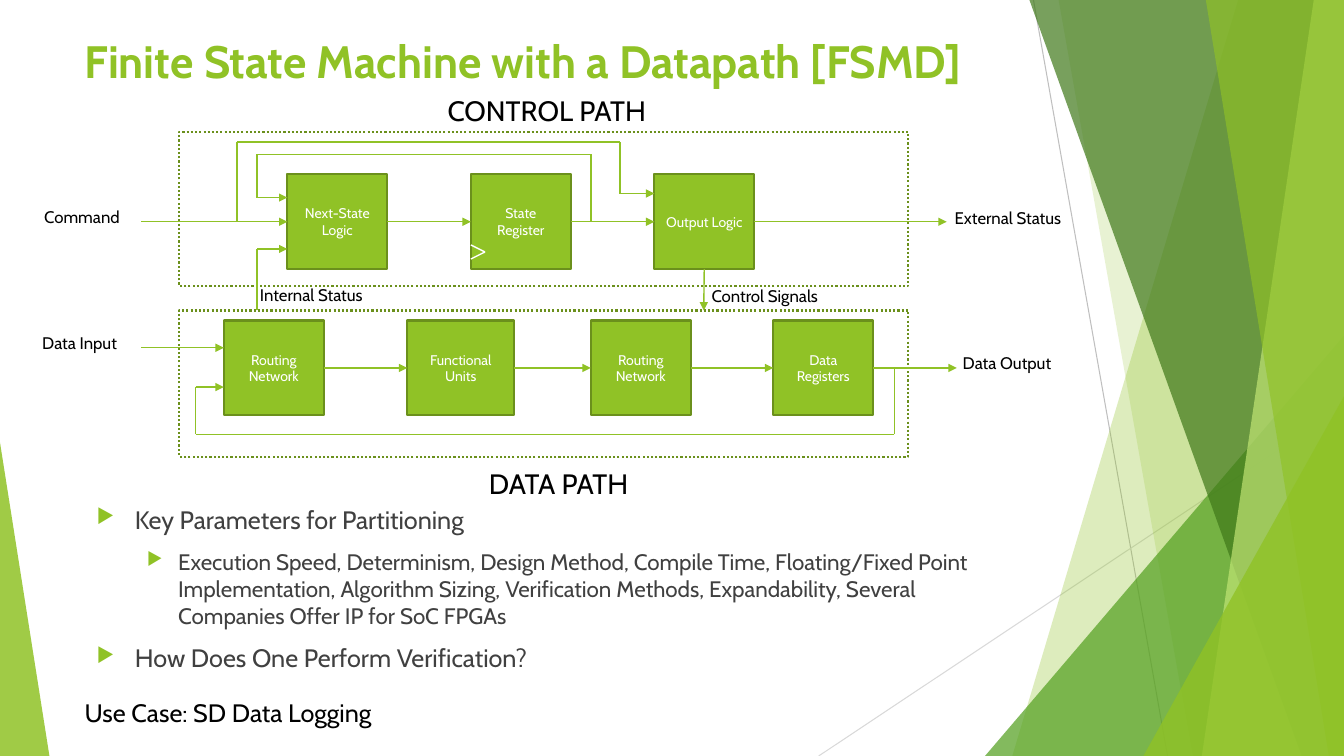
from dataclasses import dataclass
from itertools import pairwise

from pptx import Presentation
from pptx.dml.color import RGBColor
from pptx.enum.dml import MSO_LINE
from pptx.enum.shapes import MSO_CONNECTOR, MSO_SHAPE
from pptx.enum.text import MSO_ANCHOR as Anchor, PP_ALIGN as Align
from pptx.oxml.ns import qn
from pptx.oxml.xmlchemy import OxmlElement
from pptx.util import Inches, Pt

COLORS = {
    "lime": "90C226", "olive": "6B901C", "green": "54A021", "forest": "3F7819",
    "pale": "C0E474", "silver": "BFBFBF", "mist": "D9D9D9",
    "white": "FFFFFF", "black": "000000", "ink": "404040",
}
FONT = "Cabin"
TOP, LEFT, BOTTOM, RIGHT = range(4)
Point = tuple[float, float]


@dataclass
class Facet:
    points: list[Point]
    color: str
    opacity: int


@dataclass
class Wedge:
    left: float
    top: float
    width: float
    apex: float
    color: str
    opacity: int


@dataclass
class Block:
    text: str
    left: float
    top: float
    width: float = 0.99
    height: float = 0.94


@dataclass
class Wire:
    points: list[Point]
    arrow: bool = True
    source: tuple[str, int] | None = None
    target: tuple[str, int] | None = None
    color: str = "lime"
    weight: float = 1


@dataclass
class Label:
    text: str
    left: float
    top: float
    width: float
    height: float = 0.3
    size: float = 12
    color: str = "black"
    bold: bool = False
    anchor: Anchor = Anchor.TOP


@dataclass
class Bullet:
    text: str
    level: int
    size: int
    margin: float
    hanging: float


RAYS = [
    Wire([(10.25, 0), (11.58, 7.5)], arrow=False, color="silver", weight=0.75),
    Wire([(13.33, 4.03), (8.12, 7.5)], arrow=False, color="mist", weight=0.75),
]


def edge_facet(top_x: float, bottom_x: float, color: str, opacity: int) -> Facet:
    """Describe a band between a slanted side and the right slide edge."""
    return Facet([(top_x, 0), (13.33, 0), (13.33, 7.5), (bottom_x, 7.5)], color, opacity)


DECOR = [
    edge_facet(12.28, 10.04, "lime", 30),
    edge_facet(10.5, 11.83, "lime", 20),
    Wedge(9.77, 3.33, 3.56, 1, "green", 72),
    edge_facet(10.21, 12.91, "forest", 70),
    edge_facet(13.03, 11.92, "pale", 70),
    edge_facet(11.96, 13.18, "lime", 65),
    Wedge(11.34, 3.93, 1.99, 1, "lime", 80),
    Wedge(0, 4.39, 0.49, 0, "lime", 85),
]
REGIONS = [Block("", 1.78, 1.31, 7.23, 1.53), Block("", 1.78, 3.08, 7.23, 1.45)]
BLOCKS = {
    "next": Block("Next-State Logic", 2.85, 1.73),
    "state": Block("State Register", 4.67, 1.73),
    "output": Block("Output Logic", 6.49, 1.73),
    "router_in": Block("Routing Network", 2.22, 3.18),
    "units": Block("Functional Units", 4.04, 3.18, 1.06),
    "router_out": Block("Routing Network", 5.86, 3.18),
    "registers": Block("Data Registers", 7.67, 3.18),
}
CHAINS = [("next", "state", "output"), ("router_in", "units", "router_out", "registers")]
WIRES = [
    Wire([(1.4, 2.2), (2.85, 2.2)], target=("next", LEFT)),
    Wire([(7.48, 2.2), (9.39, 2.2)], source=("output", RIGHT)),
    Wire([(6.98, 2.67), (6.98, 3.08)], source=("output", BOTTOM)),
    Wire([(2.35, 2.2), (2.35, 1.41), (6.15, 1.41), (6.15, 1.92), (6.49, 1.92)]),
    Wire([(5.86, 2.2), (5.86, 1.53), (2.55, 1.53), (2.55, 1.96), (2.85, 1.96)]),
    Wire([(2.55, 3.08), (2.55, 2.47), (2.85, 2.47)]),
    Wire([(1.4, 3.45), (2.22, 3.45)]),
    Wire([(8.66, 3.65), (9.49, 3.65)], source=("registers", RIGHT)),
    Wire([(8.87, 3.65), (8.87, 4.31), (1.94, 4.31), (1.94, 3.84), (2.22, 3.84)]),
    Wire([(4.67, 2.43), (4.81, 2.5), (4.67, 2.57)], arrow=False, color="white"),
]
LABELS = [
    Label("Finite State Machine with a Datapath [FSMD]", 0.74, 0.25, 10.06, 0.69,
          32.4, "lime", True, Anchor.MIDDLE),
    Label("CONTROL PATH", 4.34, 0.88, 2.79, 0.53, 20),
    Label("DATA PATH", 4.75, 4.58, 2.14, 0.53, 20),
    Label("Command", 0.34, 2, 1.39),
    Label("Data Input", 0.32, 3.25, 1.78),
    Label("External Status", 9.37, 2.01, 1.78),
    Label("Data Output", 9.45, 3.45, 1.78),
    Label("Control Signals", 6.96, 2.79, 1.76),
    Label("Internal Status", 2.48, 2.78, 1.61),
    Label("Use Case: SD Data Logging", 0.74, 6.87, 6.89, 0.4, 18),
]
BULLETS = [
    Bullet("Key Parameters for Partitioning", 0, 18, 0.38, 0.38),
    Bullet("Execution Speed, Determinism, Design Method, Compile Time, Floating/Fixed Point "
           "Implementation, Algorithm Sizing, Verification Methods, Expandability, Several "
           "Companies Offer IP for SoC FPGAs", 1, 16, 0.81, 0.31),
    Bullet("How Does One Perform Verification?", 0, 18, 0.38, 0.38),
]


def rgb(name: str) -> RGBColor:
    """Look up a palette colour."""
    return RGBColor.from_string(COLORS[name])


def add_child(parent, tag: str, **attributes: str):
    """Append an XML element with its attributes."""
    child = OxmlElement(tag)
    for key, value in attributes.items():
        child.set(key, value)
    parent.append(child)
    return child


def write(paragraph, text: str, size: float, color: str, bold: bool = False) -> None:
    """Add one styled run."""
    run = paragraph.add_run()
    run.text = text
    run.font.name, run.font.size, run.font.bold = FONT, Pt(size), bold
    run.font.color.rgb = rgb(color)


def draw_decor(shapes, piece: Facet | Wedge) -> None:
    """Draw one translucent background piece."""
    if isinstance(piece, Wedge):
        pane = shapes.add_shape(MSO_SHAPE.ISOSCELES_TRIANGLE, Inches(piece.left), Inches(piece.top),
                                Inches(piece.width), Inches(7.5 - piece.top))
        pane.adjustments[0] = piece.apex
    else:
        corners = [(Inches(x), Inches(y)) for x, y in piece.points]
        outline = shapes.build_freeform(*corners[0])
        outline.add_line_segments(corners[1:])
        pane = outline.convert_to_shape()
    pane.shadow.inherit = False
    pane.line.fill.background()
    pane.fill.solid()
    pane.fill.fore_color.rgb = rgb(piece.color)
    tint = pane._element.spPr.find(qn("a:solidFill"))[0]
    add_child(tint, "a:alpha", val=str(piece.opacity * 1000))


def draw_block(shapes, block: Block):
    """Draw a filled block, or a dotted region when it has no text."""
    box = shapes.add_shape(MSO_SHAPE.RECTANGLE, Inches(block.left), Inches(block.top),
                           Inches(block.width), Inches(block.height))
    box.shadow.inherit = False
    box.line.color.rgb, box.line.width = rgb("olive"), Pt(1.5)
    if not block.text:
        box.fill.background()
        box.line.dash_style = MSO_LINE.ROUND_DOT
        return box
    box.fill.solid()
    box.fill.fore_color.rgb = rgb("lime")
    frame = box.text_frame
    frame.word_wrap, frame.vertical_anchor = True, Anchor.MIDDLE
    frame.paragraphs[0].alignment = Align.CENTER
    write(frame.paragraphs[0], block.text, 10, "white")
    return box


def draw_wire(shapes, wire: Wire, boxes: dict) -> None:
    """Draw a wire leg by leg, joined to its blocks."""
    legs = []
    for (x1, y1), (x2, y2) in pairwise(wire.points):
        leg = shapes.add_connector(MSO_CONNECTOR.STRAIGHT, Inches(x1), Inches(y1), Inches(x2), Inches(y2))
        leg.line.color.rgb, leg.line.width = rgb(wire.color), Pt(wire.weight)
        add_child(leg._element.spPr, "a:effectLst")
        legs.append(leg)
    if wire.arrow:
        add_child(legs[-1]._element.spPr.find(qn("a:ln")), "a:tailEnd", type="triangle")
    if wire.source:
        legs[0].begin_connect(boxes[wire.source[0]], wire.source[1])
    if wire.target:
        legs[-1].end_connect(boxes[wire.target[0]], wire.target[1])


def link(start: str, end: str) -> Wire:
    """Describe the arrow between two neighbouring blocks."""
    a, b = BLOCKS[start], BLOCKS[end]
    y = a.top + a.height / 2
    return Wire([(a.left + a.width, y), (b.left, y)], source=(start, RIGHT), target=(end, LEFT))


def draw_label(shapes, label: Label) -> None:
    """Draw one line of free text."""
    frame = shapes.add_textbox(Inches(label.left), Inches(label.top),
                               Inches(label.width), Inches(label.height)).text_frame
    frame.word_wrap, frame.vertical_anchor = True, label.anchor
    write(frame.paragraphs[0], label.text, label.size, label.color, label.bold)


def draw_bullets(shapes, bullets: list[Bullet]) -> None:
    """Draw the bulleted list."""
    frame = shapes.add_textbox(Inches(0.86), Inches(4.95), Inches(9.4), Inches(1.9)).text_frame
    frame.word_wrap = True
    for index, bullet in enumerate(bullets):
        paragraph = frame.add_paragraph() if index else frame.paragraphs[0]
        paragraph.level, paragraph.space_before = bullet.level, Pt(10)
        props = paragraph._p.get_or_add_pPr()
        props.set("marL", str(Inches(bullet.margin)))
        props.set("indent", str(-Inches(bullet.hanging)))
        add_child(add_child(props, "a:buClr"), "a:srgbClr", val=COLORS["lime"])
        add_child(props, "a:buSzPct", val="80000")
        add_child(props, "a:buChar", char="▶")
        write(paragraph, bullet.text, bullet.size, "ink")


def main() -> None:
    """Build the slide and save it."""
    deck = Presentation()
    deck.slide_width, deck.slide_height = Inches(13.33), Inches(7.5)
    shapes = deck.slides.add_slide(deck.slide_layouts[6]).shapes
    for ray in RAYS:
        draw_wire(shapes, ray, {})
    for piece in DECOR:
        draw_decor(shapes, piece)
    for region in REGIONS:
        draw_block(shapes, region)
    boxes = {key: draw_block(shapes, block) for key, block in BLOCKS.items()}
    links = [link(*pair) for chain in CHAINS for pair in pairwise(chain)]
    for wire in links + WIRES:
        draw_wire(shapes, wire, boxes)
    for label in LABELS:
        draw_label(shapes, label)
    draw_bullets(shapes, BULLETS)
    deck.save("out.pptx")


if __name__ == "__main__":
    main()
